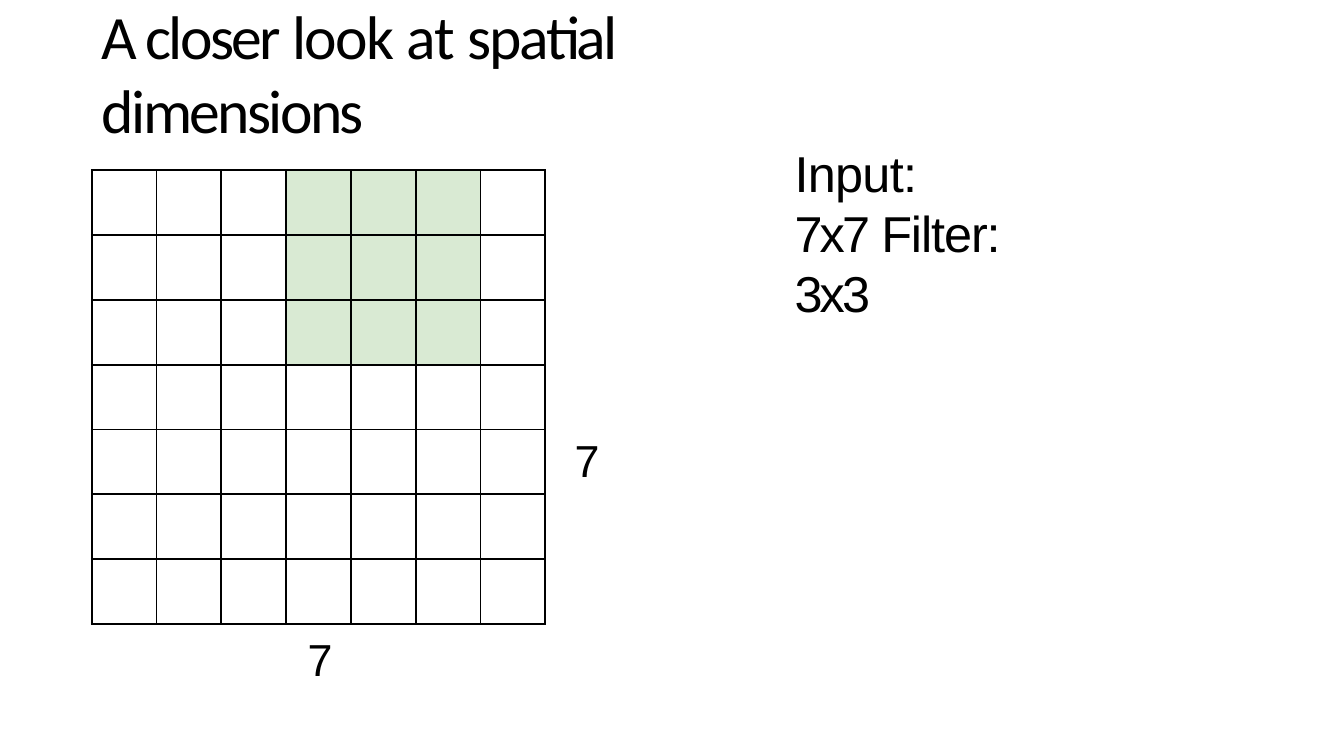
from lxml.etree import SubElement
from pptx import Presentation
from pptx.dml.color import RGBColor
from pptx.enum.text import MSO_ANCHOR
from pptx.oxml.ns import qn
from pptx.util import Inches, Pt

HUES = {"ink": "000000", "paper": "FFFFFF", "patch": "D9EAD3"}
SIDE = 7
SPAN = 3
START = 3


def frame(slide, box, top=0):
    """Add a wrapping text box without side insets."""
    text = slide.shapes.add_textbox(*map(Inches, box)).text_frame
    text.word_wrap = True
    text.margin_left = text.margin_right = text.margin_bottom = 0
    text.margin_top = Inches(top)
    return text


def write(para, runs, size, font="Arial", left=0.01):
    """Fill a paragraph with (words, tracking) runs."""
    props = para._p.get_or_add_pPr()
    props.set("marL", str(Inches(left)))
    props.set("indent", "0")
    for words, track in runs:
        run = para.add_run()
        run.text = words
        run.font.size = Pt(size)
        run.font.name = font
        run.font.color.rgb = RGBColor.from_string(HUES["ink"])
        run._r.get_or_add_rPr().set("spc", str(round(track * 100)))


def title(slide, box):
    """Place the heading, centred vertically on its box."""
    text = frame(slide, box, 0.02)
    text.vertical_anchor = MSO_ANCHOR.MIDDLE
    runs = [("A ", -4.2), ("closer ", -1.9), ("look ", -1.3),
            ("at ", -0.9), ("spatial ", -1.6), ("dimensions", -1.9)]
    write(text.paragraphs[0], runs, 44, "Calibri")


def edge(cell):
    """Draw a solid line on all four sides of a cell."""
    props = cell._tc.get_or_add_tcPr()
    for spot, tag in enumerate(("a:lnL", "a:lnR", "a:lnT", "a:lnB")):
        line = SubElement(props, qn(tag), w=str(Pt(1.5)))
        fill = SubElement(line, qn("a:solidFill"))
        SubElement(fill, qn("a:srgbClr"), val=HUES["ink"])
        props.remove(line)
        props.insert(spot, line)


def grid(slide, box):
    """Build the square input grid with the filter patch shaded."""
    left, top, width, height = box
    table = slide.shapes.add_table(SIDE, SIDE, *map(Inches, box)).table
    table.first_row = table.horz_banding = False
    for step in range(SIDE):
        table.columns[step].width = Inches(width / SIDE)
        table.rows[step].height = Inches(height / SIDE)
    for row in range(SIDE):
        for col in range(SIDE):
            cell = table.cell(row, col)
            shade = row < SPAN and START <= col < START + SPAN
            cell.fill.solid()
            hue = HUES["patch" if shade else "paper"]
            cell.fill.fore_color.rgb = RGBColor.from_string(hue)
            edge(cell)
    base = frame(slide, (left + width / 2 - 0.12, top + height + 0.08, 0.25, 0.57))
    base.paragraphs[0].line_spacing = Pt(37.9)
    write(base.paragraphs[0], [("7", -1.6)], 32)


def notes(slide, box):
    """Place the input and filter sizes above the side label."""
    text = frame(slide, box, 0.08)
    sizes = text.paragraphs[0]
    sizes.line_spacing = Pt(43)
    runs = [("Input: ", -0.5), ("7x7 ", -2), ("Filter: ", -0.8), ("3x3", -2)]
    write(sizes, runs, 36, left=2.19)
    side = text.add_paragraph()
    side.space_before = Pt(78.7)
    write(side, [("7", -1.6)], 32)


def main():
    """Build and save the slide."""
    deck = Presentation()
    deck.slide_width, deck.slide_height = Inches(13.33), Inches(7.5)
    slide = deck.slides.add_slide(deck.slide_layouts[6])
    title(slide, (1, 0.36, 7.68, 0.69))
    grid(slide, (0.91, 1.69, 4.5, 4.5))
    notes(slide, (5.69, 1.33, 4.25, 2.87))
    deck.save("out.pptx")


if __name__ == "__main__":
    main()
